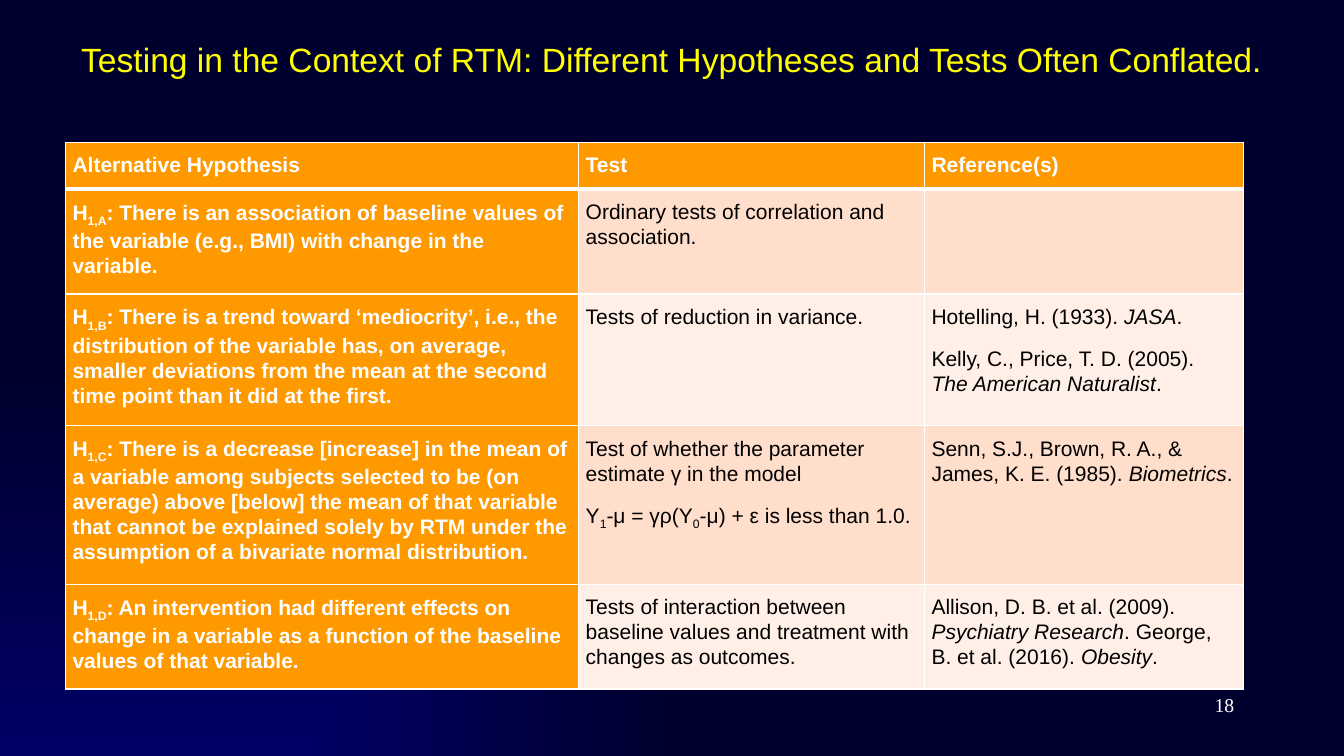
from dataclasses import dataclass

from lxml.etree import SubElement as Sub
from pptx import Presentation
from pptx.dml.color import RGBColor as Color
from pptx.enum.text import MSO_ANCHOR as Anchor, MSO_AUTO_SIZE as Fit, PP_ALIGN as Align
from pptx.oxml.ns import qn
from pptx.util import Inches, Pt


@dataclass(frozen=True)
class Theme:
    """Colours, fonts and type sizes of the slide."""
    glow: str = "000066"
    night: str = "00002F"
    title: str = "FFFF00"
    white: str = "FFFFFF"
    black: str = "000000"
    head: str = "FF9900"
    bands: tuple = ("FFDECC", "FFEFE7")
    sans: str = "Arial"
    serif: str = "Times New Roman"
    big: int = 24
    small: int = 15
    page: int = 14


THEME = Theme()
WIDTHS = (5.09, 3.43, 3.16)
HEIGHTS = (0.45, 0.98, 1.23, 1.47, 0.98)
ROWS = (
    ("Alternative Hypothesis", "Test", "Reference(s)"),
    ("H|1,A|: There is an association of baseline values of the variable "
     "(e.g., BMI) with change in the variable.",
     "Ordinary tests of correlation and association.",
     ""),
    ("H|1,B|: There is a trend toward ‘mediocrity’, i.e., the distribution of "
     "the variable has, on average, smaller deviations from the mean at the "
     "second time point than it did at the first.",
     "Tests of reduction in variance.",
     "Hotelling, H. (1933). |JASA|.\n"
     "Kelly, C., Price, T. D. (2005). |The American Naturalist|."),
    ("H|1,C|: There is a decrease [increase] in the mean of a variable among "
     "subjects selected to be (on average) above [below] the mean of that "
     "variable that cannot be explained solely by RTM under the assumption of "
     "a bivariate normal distribution.",
     "Test of whether the parameter estimate γ in the model\n"
     "Y|1|-μ = γρ(Y|0|-μ) + ε is less than 1.0.",
     "Senn, S.J., Brown, R. A., & James, K. E. (1985). |Biometrics|."),
    ("H|1,D|: An intervention had different effects on change in a variable "
     "as a function of the baseline values of that variable.",
     "Tests of interaction between baseline values and treatment with changes "
     "as outcomes.",
     "Allison, D. B. et al. (2009). |Psychiatry Research|. "
     "George, B. et al. (2016). |Obesity|."),
)


def style(font, face, size, tint, bold=False):
    """Set the face, size, colour and weight of a font."""
    font.name, font.size, font.bold = face, Pt(size), bold
    font.color.rgb = Color.from_string(tint)


def paint(slide):
    """Fill the background with a glow from the lower left corner."""
    fill = slide.background.fill
    fill.gradient()
    for stop, tint, place in zip(fill.gradient_stops, (THEME.glow, THEME.night), (0, 1)):
        stop.color.rgb = Color.from_string(tint)
        stop.position = place
    grad = slide.element.find(".//" + qn("a:gradFill"))
    line = grad.find(qn("a:lin"))
    if line is not None:
        grad.remove(line)
    glow = Sub(grad, qn("a:path"), {"path": "rect"})
    Sub(glow, qn("a:fillToRect"), {"t": "100000", "r": "100000"})


def add_title(slide, text):
    """Place and format the title."""
    shape = slide.shapes.title
    shape.left, shape.top = Inches(0.65), Inches(0.31)
    shape.width, shape.height = Inches(12.02), Inches(1.18)
    frame = shape.text_frame
    frame.text = text
    frame.word_wrap, frame.auto_size = False, Fit.NONE
    frame.vertical_anchor, frame.margin_top = Anchor.TOP, Inches(0.08)
    line = frame.paragraphs[0]
    line.alignment = Align.CENTER
    style(line.runs[0].font, THEME.sans, THEME.big, THEME.title)


def add_page(slide, text):
    """Write the page number at the lower right."""
    box = slide.shapes.add_textbox(Inches(9.56), Inches(6.83), Inches(2.78), Inches(0.5))
    frame = box.text_frame
    frame.text, frame.word_wrap = text, True
    line = frame.paragraphs[0]
    line.alignment = Align.RIGHT
    style(line.runs[0].font, THEME.serif, THEME.page, THEME.white)


def edge(cell, side, width):
    """Draw a white border on one side of a cell."""
    props = cell._tc.get_or_add_tcPr()
    line = Sub(props, qn("a:ln" + side), {"w": str(Pt(width))})
    Sub(Sub(line, qn("a:solidFill")), qn("a:srgbClr"), {"val": THEME.white})


def write(frame, text, tint, bold, mark):
    """Write paragraphs in which every second piece between bars is marked."""
    for i, part in enumerate(text.split("\n")):
        line = frame.add_paragraph() if i else frame.paragraphs[0]
        line.line_spacing = 1.07
        line.space_before, line.space_after = Pt(6 if i else 0), Pt(6)
        for j, piece in enumerate(part.split("|")):
            run = line.add_run()
            run.text = piece
            style(run.font, THEME.sans, THEME.small, tint, bold)
            if j % 2:
                mark(run.font)


def lower(font):
    """Turn a font into subscript."""
    font._element.set("baseline", "-25000")


def slant(font):
    """Turn a font into italics."""
    font.italic = True


def fill_cell(cell, row, col, text):
    """Format one cell by its place in the table and write its text."""
    strong = row == 0 or col == 0
    cell.margin_left = cell.margin_right = Inches(0.07)
    cell.margin_top = cell.margin_bottom = Inches(0.1)
    for side, thick in (("L", False), ("R", False), ("T", row == 1), ("B", row == 0)):
        edge(cell, side, 3 if thick else 1)
    cell.fill.solid()
    tint = THEME.head if strong else THEME.bands[(row - 1) % 2]
    cell.fill.fore_color.rgb = Color.from_string(tint)
    if text:
        ink = THEME.white if strong else THEME.black
        write(cell.text_frame, text, ink, strong, slant if col == 2 else lower)


def add_grid(slide):
    """Add the table of hypotheses, tests and references."""
    table = slide.shapes.add_table(
        len(ROWS), len(WIDTHS), Inches(0.65), Inches(1.41),
        Inches(sum(WIDTHS)), Inches(sum(HEIGHTS))).table
    for col, width in zip(table.columns, WIDTHS):
        col.width = Inches(width)
    for i, texts in enumerate(ROWS):
        table.rows[i].height = Inches(HEIGHTS[i])
        for j, text in enumerate(texts):
            fill_cell(table.cell(i, j), i, j, text)


def main():
    """Build and save the slide."""
    deck = Presentation()
    deck.slide_width, deck.slide_height = Inches(13.33), Inches(7.5)
    slide = deck.slides.add_slide(deck.slide_layouts[5])
    paint(slide)
    add_page(slide, "18")
    add_grid(slide)
    add_title(slide, "Testing in the Context of RTM: Different Hypotheses "
                     "and Tests Often Conflated.")
    deck.save("out.pptx")


if __name__ == "__main__":
    main()
